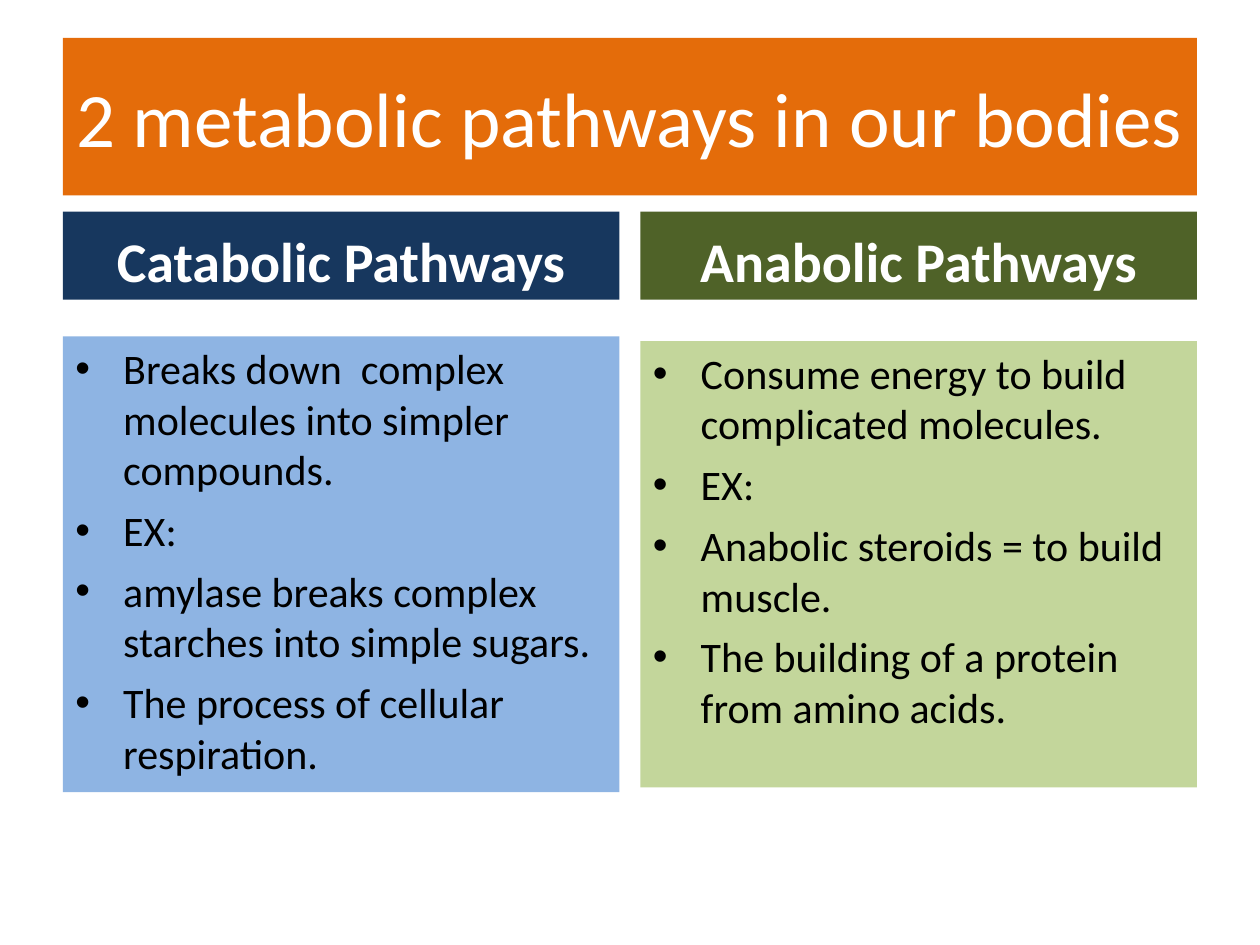
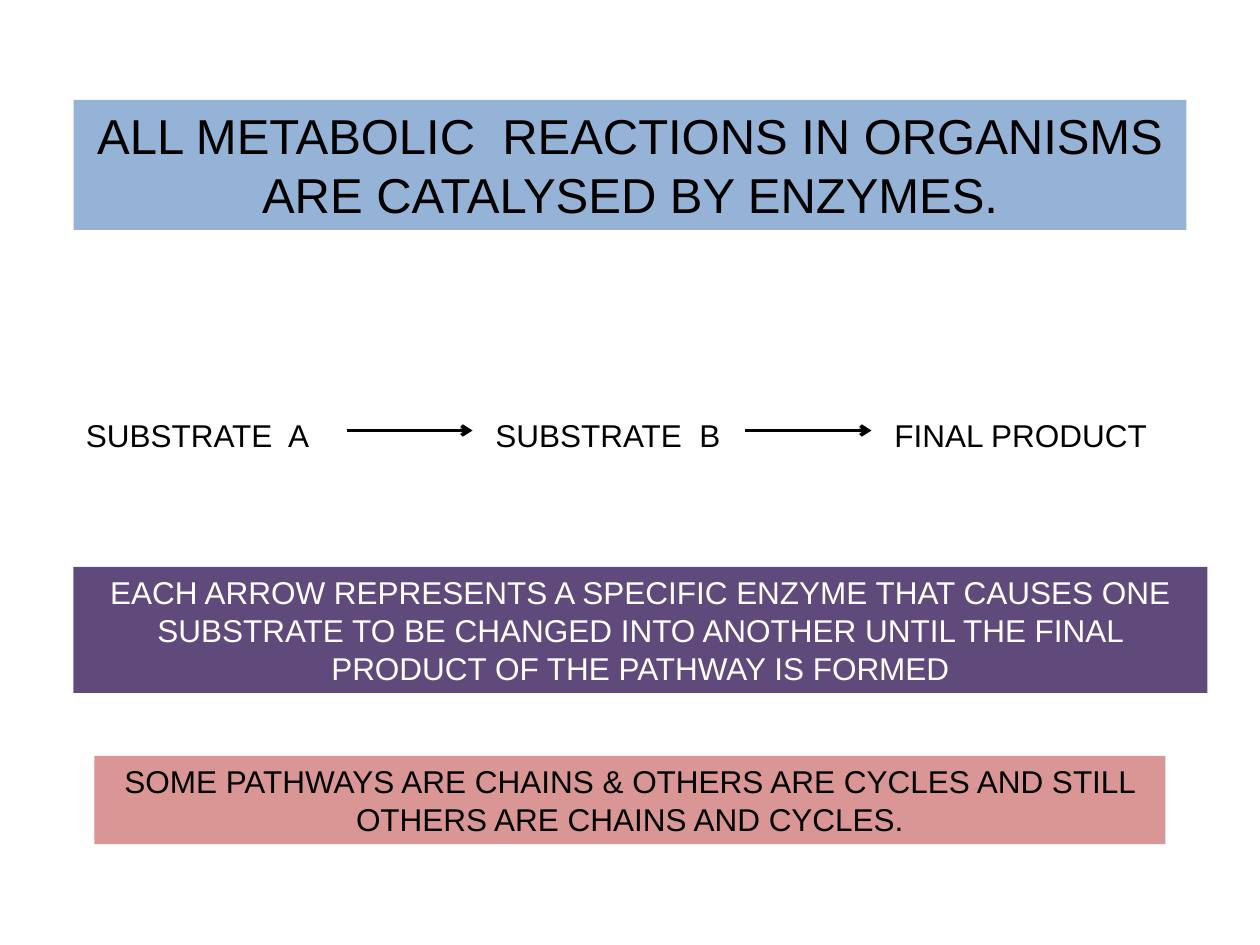
from collections import namedtuple

from lxml import etree
from pptx import Presentation
from pptx.dml.color import RGBColor
from pptx.enum.shapes import MSO_CONNECTOR, MSO_SHAPE
from pptx.enum.text import MSO_ANCHOR, PP_ALIGN
from pptx.oxml.ns import qn
from pptx.util import Inches, Pt

RECT = MSO_SHAPE.RECTANGLE
STRAIGHT = MSO_CONNECTOR.STRAIGHT
TOP, MIDDLE, BOTTOM = MSO_ANCHOR.TOP, MSO_ANCHOR.MIDDLE, MSO_ANCHOR.BOTTOM
LEFT, CENTER = PP_ALIGN.LEFT, PP_ALIGN.CENTER

BLACK = RGBColor(0x00, 0x00, 0x00)
WHITE = RGBColor(0xFF, 0xFF, 0xFF)
ORANGE = RGBColor(0xE4, 0x6C, 0x0A)
NAVY = RGBColor(0x17, 0x37, 0x5E)
SKY = RGBColor(0x8E, 0xB4, 0xE3)
OLIVE = RGBColor(0x4F, 0x62, 0x28)
LIME = RGBColor(0xC3, 0xD6, 0x9B)
STEEL = RGBColor(0x95, 0xB3, 0xD7)
PURPLE = RGBColor(0x60, 0x4A, 0x7B)
ROSE = RGBColor(0xD9, 0x96, 0x94)

HEADING_FONT, PLAIN_FONT = "Calibri", "Arial"

# The slide is a grid of 120 columns by 90 rows, twelve to the inch.
COLS, ROWS, PER_INCH = 120, 90, 12
Box = namedtuple("Box", "x y w h")


def grid(n):
    return Inches(n / PER_INCH)


def write(sp, lines, font, size, color, align=LEFT, anchor=TOP, bold=False):
    tf = sp.text_frame
    tf.word_wrap = True
    tf.vertical_anchor = anchor
    tf.text = "\n".join(lines)
    for p in tf.paragraphs:
        p.alignment = align
        for r in p.runs:
            r.font.name, r.font.size, r.font.bold = font, Pt(size), bold
            r.font.color.rgb = color
    return tf


def band(slide, box, fill, lines, font, size, color, **style):
    """Draw a filled rectangle holding text."""
    sp = slide.shapes.add_shape(RECT, *map(grid, box))
    sp.shadow.inherit = False
    sp.fill.solid()
    sp.fill.fore_color.rgb = fill
    sp.line.fill.background()
    return write(sp, lines, font, size, color, **style)


def add_bullets(tf):
    for i, p in enumerate(tf.paragraphs):
        if i:
            p.space_before = Pt(6)
        pPr = p._p.get_or_add_pPr()
        pPr.set("marL", str(Inches(0.38)))
        pPr.set("indent", str(-Inches(0.38)))
        etree.SubElement(pPr, qn("a:buFont")).set("typeface", PLAIN_FONT)
        etree.SubElement(pPr, qn("a:buChar")).set("char", "•")


def pathway_column(slide, box, heading, points, dark, light, panel_h):
    """Place a heading on top of the box and a panel centred in the rest."""
    head_h, panel_middle = 8.4, 33.6
    band(slide, Box(box.x, box.y, box.w, head_h), dark, [heading],
         HEADING_FONT, 32, WHITE, align=CENTER, anchor=BOTTOM, bold=True)
    panel = Box(box.x, box.y + panel_middle - panel_h / 2, box.w, panel_h)
    add_bullets(band(slide, panel, light, points, HEADING_FONT, 24, BLACK))


def comparison_slide(slide, box, title, columns):
    title_h, row_gap, col_gap = 15, 1.55, 2
    band(slide, Box(box.x, box.y, box.w, title_h), ORANGE, [title],
         HEADING_FONT, 44, WHITE, align=CENTER, anchor=MIDDLE)
    top = box.y + title_h + row_gap
    col_w = (box.w - col_gap) / len(columns)
    for i, column in enumerate(columns):
        col = Box(box.x + i * (col_w + col_gap), top, col_w, box.y + box.h - top)
        pathway_column(slide, col, *column)


def arrow(slide, x, y, length):
    line = slide.shapes.add_connector(
        STRAIGHT, grid(x), grid(y), grid(x + length), grid(y))
    line.line.color.rgb = BLACK
    line.line.width = Pt(2)
    etree.SubElement(line.line._get_or_add_ln(), qn("a:tailEnd")).set("type", "arrow")
    etree.SubElement(line._element.spPr, qn("a:effectLst"))


def reaction_chain(slide, box, steps):
    """Set the steps along the box, with an arrow leading to each later step."""
    arrow_len, arrow_gap, arrow_drop = 12, 1, 2
    for offset, width, label in steps:
        x = box.x + offset
        sp = slide.shapes.add_textbox(*map(grid, (x, box.y, width, box.h)))
        write(sp, [label], PLAIN_FONT, 18, BLACK)
        if offset:
            arrow(slide, x - arrow_gap - arrow_len, box.y + arrow_drop, arrow_len)


def enzyme_slide(slide, statements, steps):
    for box, fill, text, size, color in statements:
        band(slide, box, fill, [text], PLAIN_FONT, size, color, align=CENTER)
    reaction_chain(slide, Box(7, 39, 104, 4.8), steps)


PATHWAYS = [
    ("Catabolic Pathways",
     ["Breaks down  complex molecules into simpler compounds.",
      "EX:",
      "amylase breaks complex starches into simple sugars.",
      "The process of cellular respiration."],
     NAVY, SKY, 43.4),
    ("Anabolic Pathways",
     ["Consume energy to build complicated molecules.",
      "EX:",
      "Anabolic steroids = to build muscle.",
      "The building of a protein from amino acids."],
     OLIVE, LIME, 42.5),
]

STATEMENTS = [
    (Box(7, 9.5, 106, 12.4), STEEL,
     "ALL METABOLIC  REACTIONS IN ORGANISMS ARE CATALYSED BY ENZYMES.",
     28, BLACK),
    (Box(7, 54, 108, 12), PURPLE,
     "EACH ARROW REPRESENTS A SPECIFIC ENZYME THAT CAUSES ONE SUBSTRATE TO BE "
     "CHANGED INTO ANOTHER UNTIL THE FINAL PRODUCT OF THE PATHWAY IS FORMED",
     18, WHITE),
    (Box(9, 72, 102, 8.4), ROSE,
     "SOME PATHWAYS ARE CHAINS & OTHERS ARE CYCLES AND STILL OTHERS ARE "
     "CHAINS AND CYCLES.",
     18, BLACK),
]

# Offset and width in columns, then the label.
STEPS = [(0, 24, "SUBSTRATE  A"), (39, 24, "SUBSTRATE  B"), (77, 27, "FINAL PRODUCT")]


def main():
    prs = Presentation()
    prs.slide_width, prs.slide_height = grid(COLS), grid(ROWS)
    blank = prs.slide_layouts[6]
    comparison_slide(prs.slides.add_slide(blank), Box(6, 3.6, 108, 72),
                     "2 metabolic pathways in our bodies", PATHWAYS)
    enzyme_slide(prs.slides.add_slide(blank), STATEMENTS, STEPS)
    prs.save("out.pptx")


if __name__ == "__main__":
    main()
